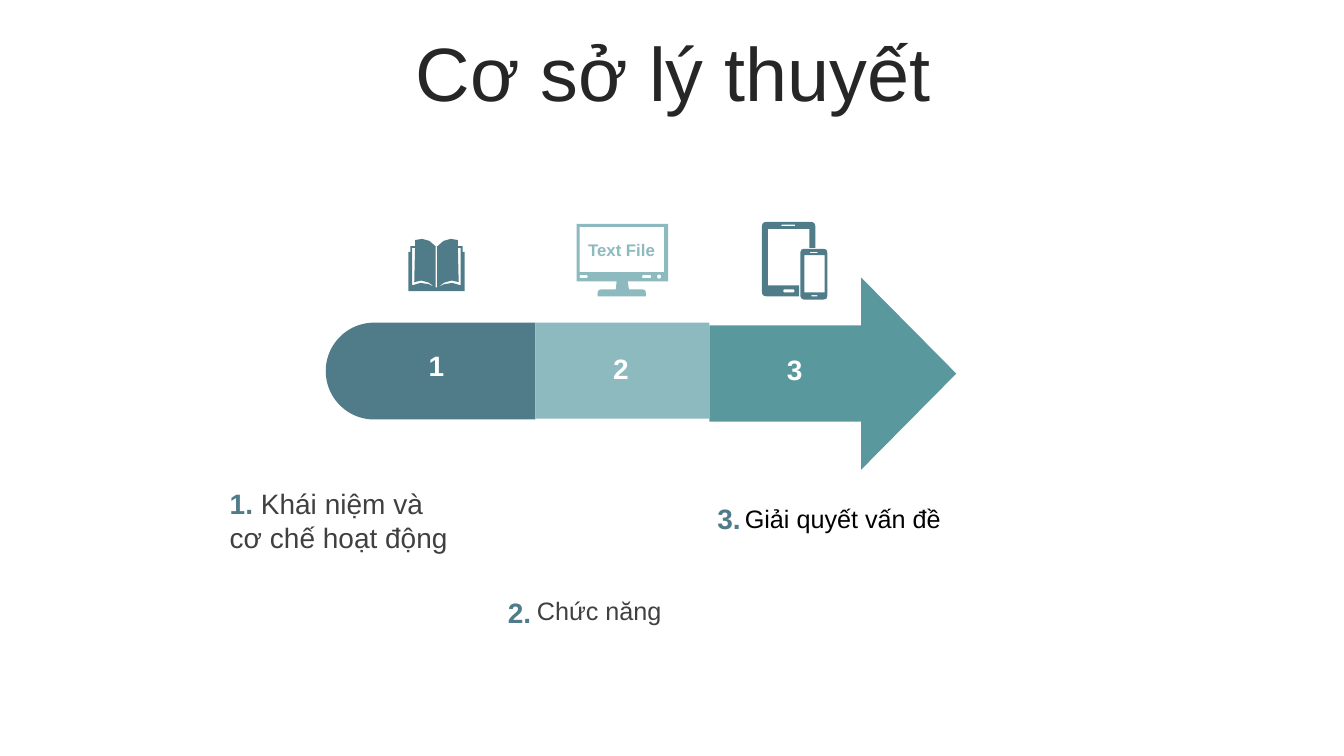
from pptx import Presentation
from pptx.dml.color import RGBColor
from pptx.enum.shapes import MSO_SHAPE as SHAPE
from pptx.enum.text import MSO_ANCHOR as ANCHOR, PP_ALIGN as ALIGN
from pptx.util import Cm, Pt

COLORS = {
    "slate": "507C89", "mist": "8CBABE", "teal": "59999E", "white": "FFFFFF",
    "title": "262626", "body": "404040", "black": "000000",
}

prs = Presentation()
prs.slide_width, prs.slide_height = Cm(33.87), Cm(19.05)
s = prs.slides.add_slide(prs.slide_layouts[6])


def box(left, top, right, bottom, radius=0):
    return [(left, top, radius), (right, top, radius),
            (right, bottom, radius), (left, bottom, radius)]


def draw_icon(color, *contours):
    """Draw closed contours of (x, y, corner radius) in cm; inner ones are holes."""
    builder = None
    for contour in contours:
        points = []
        for i, (x, y, radius) in enumerate(contour):
            if not radius:
                points.append((x * 100, y * 100))
                continue
            ends = []
            for nx, ny, _ in (contour[i - 1], contour[(i + 1) % len(contour)]):
                k = radius / max(abs(nx - x), abs(ny - y))
                ends.append((x + (nx - x) * k, y + (ny - y) * k))
            (ax, ay), (bx, by) = ends
            for t in (0, 0.25, 0.5, 0.75, 1):
                a, c, b = (1 - t) ** 2, 2 * t * (1 - t), t ** 2
                points.append(((a * ax + c * x + b * bx) * 100,
                               (a * ay + c * y + b * by) * 100))
        if builder is None:
            builder = s.shapes.build_freeform(*points[0], scale=Cm(1) / 100)
        else:
            builder.move_to(*points[0])
        builder.add_line_segments(points[1:], close=True)
    sp = builder.convert_to_shape()
    sp.shadow.inherit = False
    sp.fill.solid()
    sp.fill.fore_color.rgb = RGBColor.from_string(COLORS[color])
    sp.line.fill.background()


# Segmented arrow
segments = [
    (SHAPE.ROUND_2_SAME_RECTANGLE, 9.63, 6.71, 2.44, 5.28, 270, (0.5, 0), "slate"),
    (SHAPE.RIGHT_ARROW, 17.88, 6.99, 6.22, 4.85, 0, (0.5, 0.495), "teal"),
    (SHAPE.RECTANGLE, 13.49, 8.13, 4.39, 2.42, 0, (), "mist"),
]
for kind, left, top, width, height, rotation, adjustments, color in segments:
    sp = s.shapes.add_shape(kind, Cm(left), Cm(top), Cm(width), Cm(height))
    sp.rotation = rotation
    for i, value in enumerate(adjustments):
        sp.adjustments[i] = value
    sp.shadow.inherit = False
    sp.fill.solid()
    sp.fill.fore_color.rgb = RGBColor.from_string(COLORS[color])
    sp.line.fill.background()

# Book: the left half is mirrored about the spine
SPINE = 11
cover = [(SPINE, 7.34, 0), (10.29, 7.34, 0), (10.29, 6.35, 0), (10.34, 6.35, 0),
         (10.34, 6.2, 0), (10.46, 6.2, 0), (10.46, 6.05, 0), (10.64, 6.02, 0),
         (10.82, 6.07, 0), (10.97, 6.2, 0)]
page_edge = [(10.39, 6.25, 0), (10.46, 6.25, 0), (10.44, 7.11, 0), (10.62, 7.07, 0),
             (10.8, 7.12, 0), (10.97, 7.24, 0), (10.8, 7.16, 0), (10.6, 7.13, 0),
             (10.39, 7.19, 0)]
cover_right, page_edge_right = [
    [(2 * SPINE - x, y, radius) for x, y, radius in reversed(half)]
    for half in (cover, page_edge)]
draw_icon("slate", cover + cover_right, page_edge, page_edge_right,
          box(10.98, 6.2, 11.02, 7.24))

# Monitor
monitor = [(14.53, 5.64, 0), (16.84, 5.64, 0), (16.84, 7.09, 0), (15.82, 7.09, 0),
           (15.85, 7.29, 0), (16.28, 7.29, 0.1), (16.28, 7.47, 0), (15.06, 7.47, 0),
           (15.06, 7.29, 0.1), (15.52, 7.29, 0), (15.54, 7.09, 0), (14.53, 7.09, 0)]
draw_icon("mist", monitor, box(14.61, 5.72, 16.74, 6.86),
          box(14.61, 6.93, 14.81, 7.01, 0.04), box(16.18, 6.93, 16.41, 7.01, 0.04),
          box(16.56, 6.92, 16.66, 7.02, 0.05))

# Tablet and phone
tablet = [(20.55, 6.25, 0), (20.4, 6.25, 0), (20.4, 5.77, 0), (19.35, 5.77, 0),
          (19.35, 7.19, 0), (20.14, 7.19, 0), (20.14, 7.47, 0), (19.2, 7.47, 0.13),
          (19.2, 5.59, 0.13), (20.55, 5.59, 0.13)]
draw_icon("slate", tablet,
          box(19.69, 5.66, 20.04, 5.7, 0.02), box(19.74, 7.29, 20.02, 7.37, 0.04),
          box(20.17, 6.27, 20.85, 7.55, 0.1), box(20.27, 6.43, 20.78, 7.37),
          box(20.42, 6.35, 20.6, 6.38, 0.01), box(20.45, 7.44, 20.6, 7.47, 0.01))

# Texts: left, top, width, height, alignment, runs of (text, size, color, bold)
texts = [
    (0.89, 0.94, 32.16, 2.01, ALIGN.CENTER, [("Cơ sở lý thuyết", 54, "title", False)]),
    (17.83, 8.76, 4.39, 1.12, ALIGN.CENTER, [("3", 20, "white", True)]),
    (13.67, 8.74, 3.96, 1.12, ALIGN.CENTER, [("2", 20, "white", True)]),
    (8.79, 8.66, 4.42, 1.12, ALIGN.CENTER, [("1", 20, "white", True)]),
    (14.1, 5.68, 3.13, 1.24, ALIGN.CENTER, [("Text File", 12, "mist", True)]),
    (5.54, 12.14, 6.17, 2.82, ALIGN.LEFT,
     [("1. ", 20, "slate", True), ("Khái niệm và cơ chế hoạt động", 20, "body", False)]),
    (13.28, 14.88, 7.34, 1.32, ALIGN.LEFT, [("Chức năng", 18, "body", False)]),
    (12.55, 14.88, 7.47, 1.42, ALIGN.LEFT, [("2.", 20, "slate", True)]),
    (18.52, 12.57, 7.19, 1.02, ALIGN.LEFT, [("Giải quyết vấn đề", 18, "black", False)]),
    (17.83, 12.52, 7.29, 1.12, ALIGN.LEFT, [("3.", 20, "slate", True)]),
]
for left, top, width, height, align, runs in texts:
    tf = s.shapes.add_textbox(Cm(left), Cm(top), Cm(width), Cm(height)).text_frame
    tf.word_wrap = True
    p = tf.paragraphs[0]
    p.alignment = align
    for text, size, color, bold in runs:
        r = p.add_run()
        r.text = text
        r.font.name, r.font.size, r.font.bold = "Arial", Pt(size), bold
        r.font.color.rgb = RGBColor.from_string(COLORS[color])
        if size == 54:
            p.line_spacing = 0.9
        if size in (54, 12):
            tf.vertical_anchor = ANCHOR.MIDDLE

prs.save("out.pptx")
